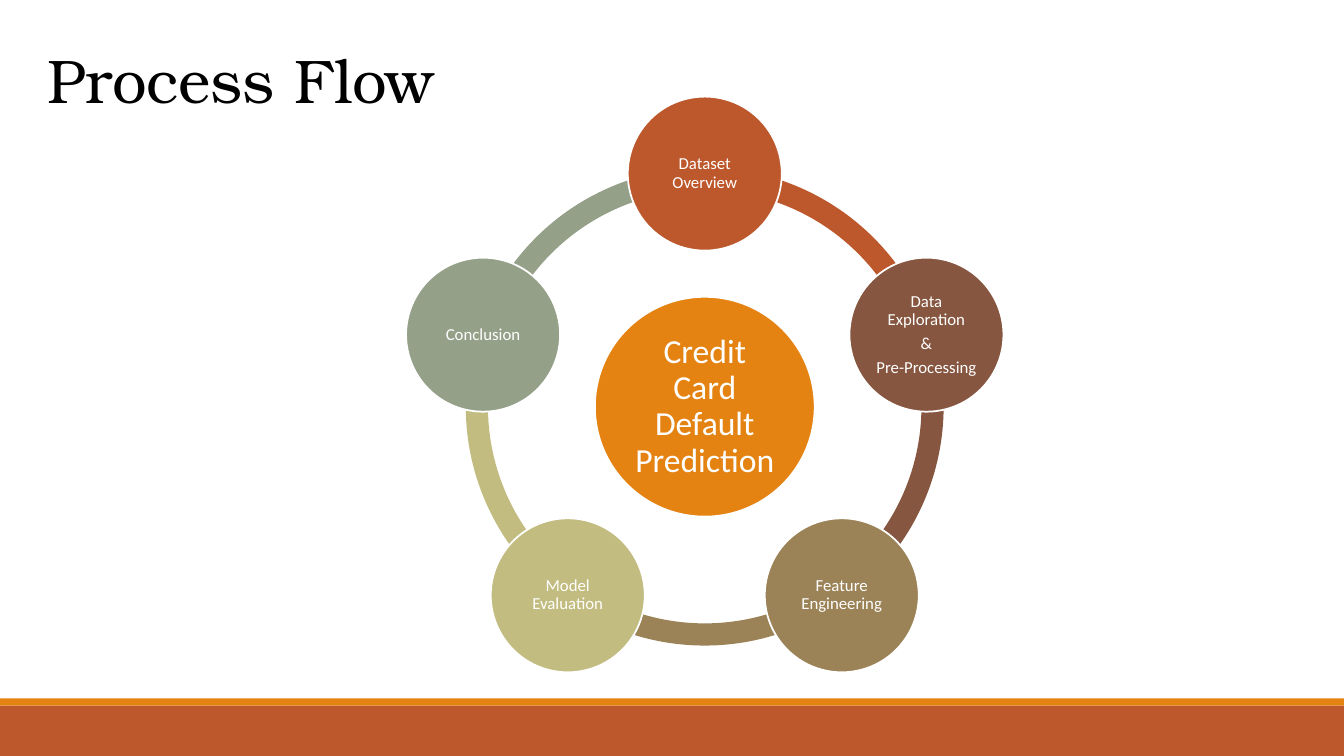
from dataclasses import dataclass
from math import cos, radians, sin

from pptx import Presentation
from pptx.dml.color import RGBColor
from pptx.enum.shapes import MSO_SHAPE
from pptx.enum.text import MSO_ANCHOR, MSO_AUTO_SIZE, PP_ALIGN
from pptx.util import Pt


@dataclass(frozen=True)
class Theme:
    title_font: str = "TeX Gyre Bonum"
    body_font: str = "Calibri"
    title_size: float = 44
    hub_size: float = 24
    step_size: float = 12
    black: str = "000000"
    white: str = "FFFFFF"
    orange: str = "E48312"
    rust: str = "BD582C"
    brown: str = "865640"
    tan: str = "9B8357"
    khaki: str = "C2BC80"
    sage: str = "94A088"


THEME = Theme()
SLIDE_WIDTH, SLIDE_HEIGHT = 960, 540
CENTER_X, CENTER_Y = 503.4, 290.5
ORBIT_RADIUS = 166.5
RING_DIAMETER = 341.3
RING_THICKNESS = 0.0464
HUB_DIAMETER = 157
STEP_DIAMETER = 110

STEPS = [
    ("Dataset Overview", THEME.rust),
    ("Data Exploration\n&\nPre-Processing", THEME.brown),
    ("Feature Engineering", THEME.tan),
    ("Model Evaluation", THEME.khaki),
    ("Conclusion", THEME.sage),
]


def format_runs(paragraph, font, size, color):
    for run in paragraph.runs:
        run.font.name = font
        run.font.size = Pt(size)
        run.font.color.rgb = RGBColor.from_string(color)


def add_filled_shape(slide, kind, left, top, width, height, color):
    shape = slide.shapes.add_shape(kind, Pt(left), Pt(top), Pt(width), Pt(height))
    shape.shadow.inherit = False
    shape.fill.solid()
    shape.fill.fore_color.rgb = RGBColor.from_string(color)
    shape.line.fill.background()
    return shape


def add_centered(slide, kind, x, y, diameter, color):
    """Add a square-framed shape whose middle is at (x, y)."""
    return add_filled_shape(slide, kind, x - diameter / 2, y - diameter / 2,
                            diameter, diameter, color)


def add_title(slide, text):
    title = slide.shapes.title
    title.left, title.top, title.width, title.height = Pt(26.6), Pt(26.6), Pt(884), Pt(60.5)
    text_frame = title.text_frame
    text_frame.text = text
    text_frame.vertical_anchor = MSO_ANCHOR.TOP
    text_frame.auto_size = MSO_AUTO_SIZE.SHAPE_TO_FIT_TEXT
    paragraph = text_frame.paragraphs[0]
    paragraph.alignment = PP_ALIGN.LEFT
    format_runs(paragraph, THEME.title_font, THEME.title_size, THEME.black)


def add_circle(slide, x, y, diameter, color, text, size):
    circle = add_centered(slide, MSO_SHAPE.OVAL, x, y, diameter, color)
    circle.line.color.rgb = RGBColor.from_string(THEME.white)
    circle.line.width = Pt(1.25)
    text_frame = circle.text_frame
    text_frame.text = text
    text_frame.word_wrap = True
    text_frame.vertical_anchor = MSO_ANCHOR.MIDDLE
    inset = Pt(size / 12 + 0.5)
    text_frame.margin_left = text_frame.margin_right = inset
    text_frame.margin_top = text_frame.margin_bottom = inset
    for paragraph in text_frame.paragraphs:
        paragraph.alignment = PP_ALIGN.CENTER
        paragraph.line_spacing = 0.9
        paragraph.space_after = Pt(size * 0.35)
        format_runs(paragraph, THEME.body_font, size, THEME.white)


def add_ring_segment(slide, start, end, color):
    """Add a ring piece running clockwise between two angles in degrees."""
    arc = add_centered(slide, MSO_SHAPE.BLOCK_ARC, CENTER_X, CENTER_Y, RING_DIAMETER, color)
    # Angles are stored in 60000ths of a degree, adjustments in 100000ths.
    arc.adjustments[0] = start % 360 * 0.6
    arc.adjustments[1] = end % 360 * 0.6
    arc.adjustments[2] = RING_THICKNESS


def add_cycle(slide):
    sweep = 360 / len(STEPS)
    angles = [270 + sweep * index for index in range(len(STEPS))]
    for angle, (_, color) in zip(angles, STEPS):
        add_ring_segment(slide, angle, angle + sweep, color)
    add_circle(slide, CENTER_X, CENTER_Y, HUB_DIAMETER, THEME.orange,
               "Credit Card Default Prediction", THEME.hub_size)
    for angle, (text, color) in zip(angles, STEPS):
        x = CENTER_X + ORBIT_RADIUS * cos(radians(angle))
        y = CENTER_Y + ORBIT_RADIUS * sin(radians(angle))
        add_circle(slide, x, y, STEP_DIAMETER, color, text, THEME.step_size)


def main():
    presentation = Presentation()
    presentation.slide_width, presentation.slide_height = Pt(SLIDE_WIDTH), Pt(SLIDE_HEIGHT)
    slide = presentation.slides.add_slide(presentation.slide_layouts.get_by_name("Title Only"))
    add_filled_shape(slide, MSO_SHAPE.RECTANGLE, 0, 504, SLIDE_WIDTH, 36, THEME.rust)
    add_filled_shape(slide, MSO_SHAPE.RECTANGLE, 0, 498.8, SLIDE_WIDTH, 5.2, THEME.orange)
    add_title(slide, "Process Flow")
    add_cycle(slide)
    presentation.save("out.pptx")


if __name__ == "__main__":
    main()
